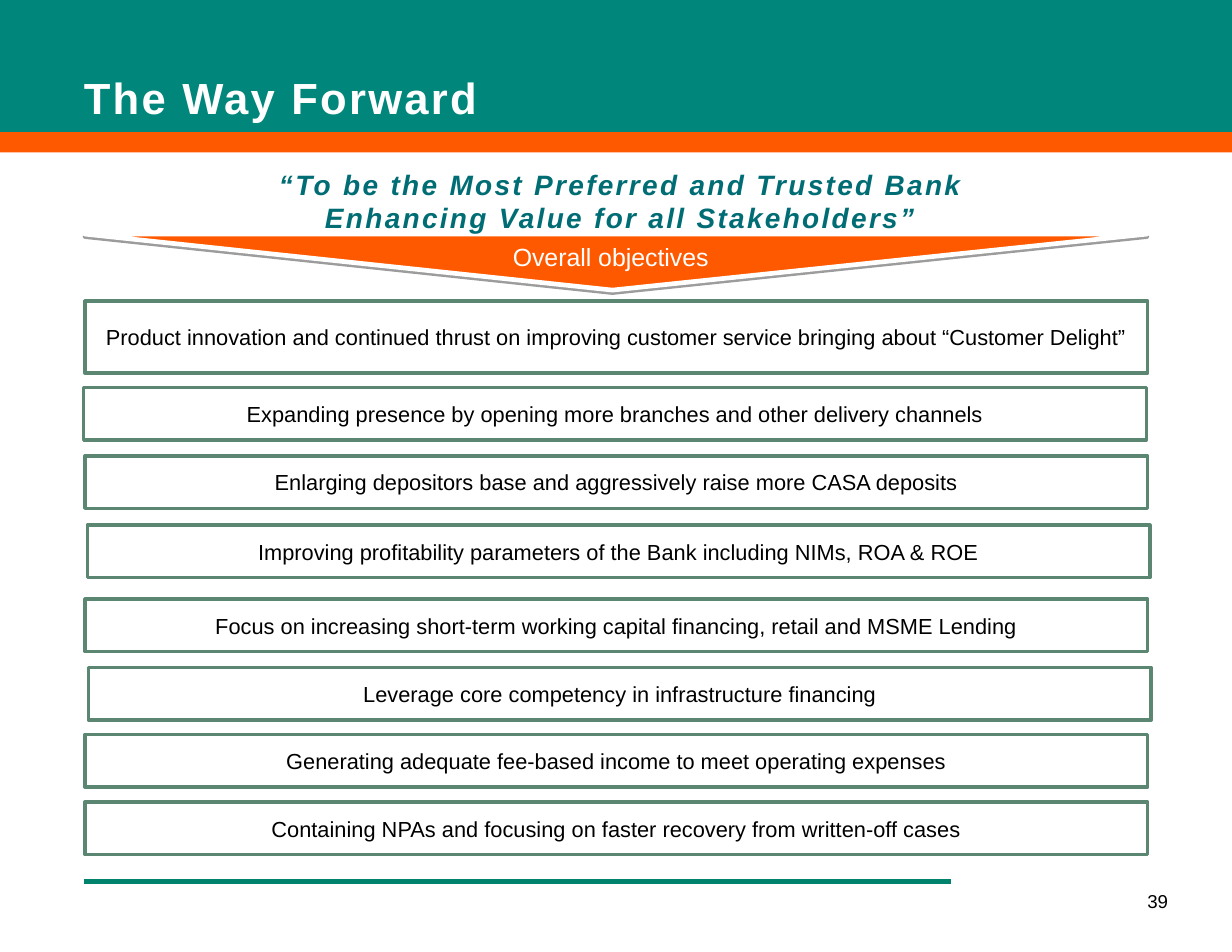
from lxml import etree
from pptx import Presentation
from pptx.dml.color import RGBColor
from pptx.enum.shapes import MSO_CONNECTOR, MSO_SHAPE
from pptx.enum.text import MSO_ANCHOR, PP_ALIGN
from pptx.oxml.ns import qn
from pptx.util import Cm, Pt

RECT = MSO_SHAPE.RECTANGLE
STRAIGHT = MSO_CONNECTOR.STRAIGHT
MID, LOW, TOP = MSO_ANCHOR.MIDDLE, MSO_ANCHOR.BOTTOM, MSO_ANCHOR.TOP
LEFT, CENTER = PP_ALIGN.LEFT, PP_ALIGN.CENTER

TEAL = RGBColor(0x00, 0x86, 0x7B)
ORANGE = RGBColor(0xFF, 0x59, 0x00)
RULE = RGBColor(0x00, 0x82, 0x6C)
SAGE = RGBColor(0x5B, 0x87, 0x72)
DEEP = RGBColor(0x00, 0x6D, 0x75)
WHITE = RGBColor(0xFF, 0xFF, 0xFF)
BLACK = RGBColor(0x00, 0x00, 0x00)

HEAD = {"size": Pt(28), "bold": True}
QUOTE = {"size": Pt(18), "bold": True, "italic": True}
LABEL = {"size": Pt(16)}
GOAL = {"size": Pt(14)}
PAGE = {"size": Pt(12)}

GOALS = [
    (1.93, 6.83, 1.63, "Product innovation and continued thrust on improving "
     "customer service bringing about “Customer Delight”"),
    (1.9, 8.79, 1.19, "Expanding presence by opening more branches and other "
     "delivery channels"),
    (1.93, 10.34, 1.19, "Enlarging depositors base and aggressively raise more "
     "CASA deposits"),
    (1.98, 11.91, 1.19, "Improving profitability parameters of the Bank "
     "including NIMs, ROA & ROE"),
    (1.93, 13.59, 1.19, "Focus on increasing short-term working capital "
     "financing, retail and MSME Lending"),
    (2.01, 15.14, 1.19, "Leverage core competency in infrastructure financing"),
    (1.93, 16.66, 1.19, "Generating adequate fee-based income to meet "
     "operating expenses"),
    (1.93, 18.19, 1.19, "Containing NPAs and focusing on faster recovery from "
     "written-off cases"),
]


def set_all(item, values):
    for name, value in values.items():
        setattr(item, name, value)


def write(shape, lines, font, color, pads, anchor=TOP, align=CENTER,
          wrap=True, track=0, lead=None):
    frame = shape.text_frame
    left, top, right, bottom = map(Cm, pads)
    set_all(frame, {
        "margin_left": left, "margin_top": top, "margin_right": right,
        "margin_bottom": bottom, "vertical_anchor": anchor, "word_wrap": wrap,
    })
    for i, line in enumerate(lines):
        para = frame.add_paragraph() if i else frame.paragraphs[0]
        set_all(para, {"alignment": align, "line_spacing": lead})
        run = para.add_run()
        run.text = line
        set_all(run.font, {"name": "Arial", **font})
        run.font.color.rgb = color
        if track:
            run._r.get_or_add_rPr().set("spc", str(track))


def add_band(slide, top, height, color):
    band = slide.shapes.add_shape(RECT, 0, Cm(top), Cm(27.94), Cm(height))
    band.shadow.inherit = False
    band.fill.solid()
    band.fill.fore_color.rgb = color
    band.line.fill.background()


def add_rule(slide):
    rule = slide.shapes.add_connector(
        STRAIGHT, Cm(1.9), Cm(19.99), Cm(21.56), Cm(19.99))
    rule.line.color.rgb = RULE
    rule.line.width = Pt(3)
    etree.SubElement(rule.element.spPr, qn("a:effectLst"))


def add_wedge(slide):
    pen = slide.shapes.build_freeform(Cm(1.93), Cm(5.31))
    pen.add_line_segments(
        [(Cm(26.01), Cm(5.31)), (Cm(13.89), Cm(6.58))], close=True)
    wedge = pen.convert_to_shape()
    wedge.fill.solid()
    wedge.fill.fore_color.rgb = ORANGE
    wedge.line.color.rgb = WHITE
    wedge.line.width = Pt(3)
    wedge.shadow.inherit = False
    effects = wedge.element.spPr.find(qn("a:effectLst"))
    shade = etree.SubElement(
        effects, qn("a:outerShdw"), blurRad="0", dist=str(Pt(1.6)),
        dir="5400000", rotWithShape="0")
    tint = etree.SubElement(shade, qn("a:srgbClr"), val=str(BLACK))
    etree.SubElement(tint, qn("a:alpha"), val="38000")


def add_title(slide, text):
    title = slide.shapes.title
    set_all(title, {"left": Cm(1.9), "top": Cm(1.47),
                    "width": Cm(24.46), "height": Cm(1.47)})
    title.element.getparent().append(title.element)
    write(title, [text], HEAD, WHITE, (0, 0.15, 0, 0.15), LOW, LEFT,
          track=150, lead=0.8)


def add_goal(slide, left, top, height, text):
    box = slide.shapes.add_shape(RECT, Cm(left), Cm(top), Cm(24.1), Cm(height))
    box.shadow.inherit = False
    box.fill.background()
    box.line.color.rgb = SAGE
    box.line.width = Pt(2.25)
    write(box, [text], GOAL, BLACK, (0.13,) * 4, MID)


def add_text(slide, place, lines, font, color, pads, **style):
    box = slide.shapes.add_textbox(*map(Cm, place))
    write(box, lines, font, color, pads, **style)


def main():
    deck = Presentation()
    set_all(deck, {"slide_width": Cm(27.94), "slide_height": Cm(21.59)})
    slide = deck.slides.add_slide(deck.slide_layouts[5])
    add_band(slide, -0.05, 3.05, TEAL)
    add_band(slide, 3, 0.46, ORANGE)
    add_rule(slide)
    add_wedge(slide)
    add_title(slide, "The Way Forward")
    tight = (0, 0, 0.05, 0.05)
    add_text(slide, (11.63, 5.49, 4.55, 0.74), ["Overall objectives"],
             LABEL, WHITE, tight, align=LEFT, wrap=False)
    for goal in GOALS:
        add_goal(slide, *goal)
    add_text(slide, (1.85, 3.66, 24.43, 1.8),
             ["“To be the Most Preferred and Trusted Bank",
              "Enhancing Value for all Stakeholders”"],
             QUOTE, DEEP, (0.25, 0.13, 0.25, 0.13), track=150)
    add_text(slide, (25.58, 20.19, 1.4, 0.41), ["39"], PAGE, BLACK, tight)
    deck.save("out.pptx")


if __name__ == "__main__":
    main()
